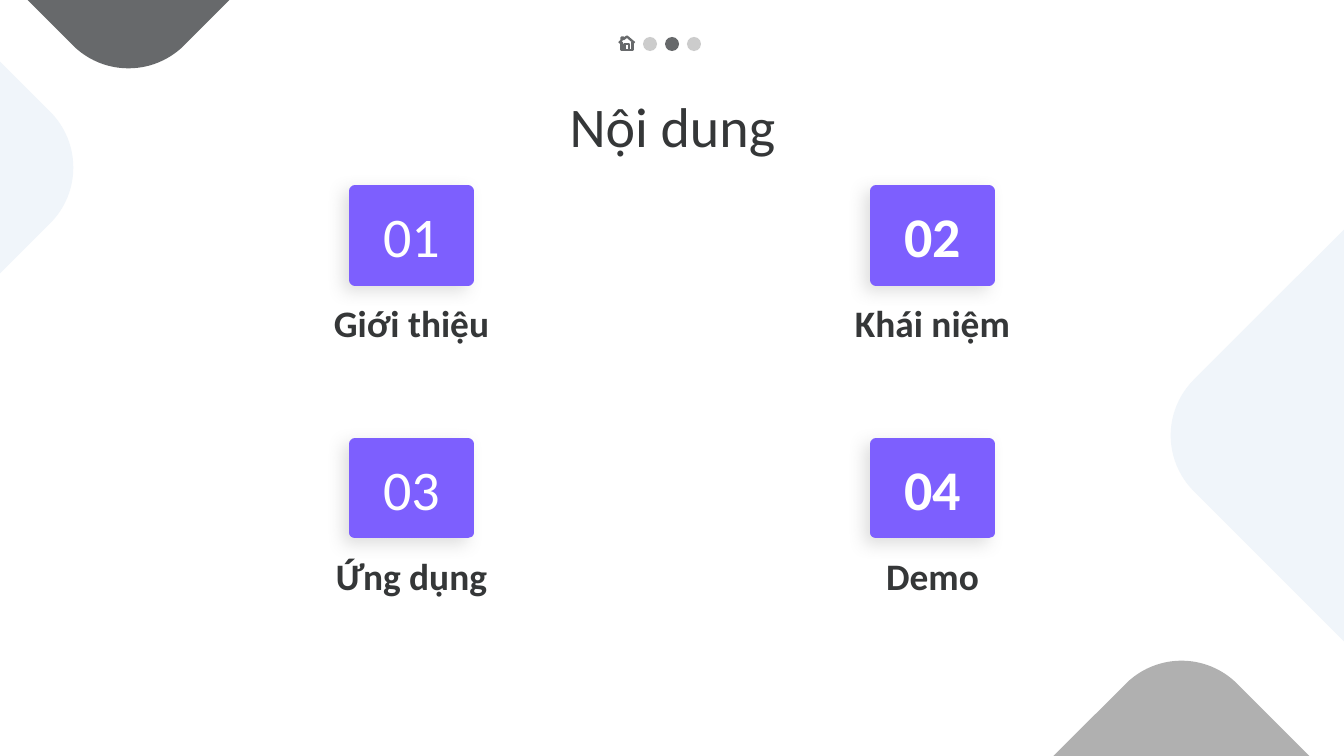
from lxml.etree import SubElement
from pptx import Presentation
from pptx.dml.color import RGBColor
from pptx.enum.shapes import MSO_SHAPE as Shape
from pptx.enum.text import MSO_ANCHOR as Anchor, PP_ALIGN as Align
from pptx.oxml.ns import qn
from pptx.util import Emu, Pt

PX = 914400 / 134.4
FONT = "Calibri"
COLORS = {
    "dark": "67696B",
    "gray": "B0B0B0",
    "pale": "F0F5FA",
    "purple": "7D5FFE",
    "text": "353738",
    "white": "FFFFFF",
}


def px(*lengths):
    return [Emu(round(length * PX)) for length in lengths]


def color(name):
    return RGBColor.from_string(COLORS[name])


def add_alpha(color_element, percent):
    SubElement(color_element, qn("a:alpha"), val=str(percent * 1000))


def add_shape(slide, kind, box, fill):
    shape = slide.shapes.add_shape(kind, *px(*box))
    shape.shadow.inherit = False
    shape.fill.solid()
    shape.fill.fore_color.rgb = color(fill)
    shape.line.fill.background()
    return shape


def write_text(shape, text, size, color_name, anchor, bold=False):
    frame = shape.text_frame
    frame.word_wrap = True
    frame.vertical_anchor = anchor
    frame.margin_left, frame.margin_top, frame.margin_right, frame.margin_bottom = px(*[13] * 4)
    paragraph = frame.paragraphs[0]
    paragraph.alignment = Align.CENTER
    run = paragraph.add_run()
    run.text = text
    font = run.font
    font.name, font.size, font.bold = FONT, Pt(size), bold
    font.color.rgb = color(color_name)


def add_corners(slide, size):
    corners = [(-108, -470, "dark"), (1236, 199, "pale"),
               (-465, -69, "pale"), (945, 726, "gray")]
    for left, top, fill in corners:
        corner = add_shape(slide, Shape.ROUNDED_RECTANGLE, (left, top, size, size), fill)
        corner.rotation = 315


def add_title(slide, box):
    write_text(slide.shapes.add_textbox(*px(*box)), "Nội dung", 30, "text", Anchor.TOP)


def add_badge(slide, box, number, bold):
    badge = add_shape(slide, Shape.RECTANGLE, box, "purple")
    badge.line.color.rgb = color("purple")
    badge.line.width = Pt(6)
    # Rounded outline corners and a soft shadow to the lower left
    SubElement(badge.line._get_or_add_ln(), qn("a:round"))
    effects = badge._element.spPr.find(qn("a:effectLst"))
    shadow = SubElement(effects, qn("a:outerShdw"), blurRad=str(Pt(9)), dist=str(Pt(4.5)),
                        dir=str(140 * 60000), algn="bl", rotWithShape="0")
    add_alpha(SubElement(shadow, qn("a:srgbClr"), val=COLORS["gray"]), 40)
    write_text(badge, number, 30, "white", Anchor.MIDDLE, bold)


def add_section(slide, box, number, name, bold):
    left, top, width, height = box
    badge_width, badge_height, label_height = 113, 89, 73
    add_badge(slide, (left + (width - badge_width) // 2, top, badge_width, badge_height),
              number, bold)
    label_box = (left, top + height - label_height, width, label_height)
    write_text(slide.shapes.add_textbox(*px(*label_box)), name, 20, "text", Anchor.BOTTOM, True)


def add_contents(slide, left, top):
    names = ["Giới thiệu", "Khái niệm", "Ứng dụng", "Demo"]
    for index, name in enumerate(names):
        row, column = divmod(index, 2)
        box = (left + column * 521, top + row * 253, 457, 167)
        add_section(slide, box, f"{index + 1:02}", name, bold=column == 1)


def add_home_icon(slide, left, top):
    # Strokes in tenths of a px: roof with chimney, walls, door
    strokes = [
        [(0, 70), (25, 45), (25, 15), (45, 15), (45, 32), (80, 5), (155, 70)],
        [(25, 60), (25, 138), (135, 138), (135, 60)],
        [(57, 138), (57, 80), (103, 80), (103, 138)],
    ]
    builder = slide.shapes.build_freeform(*strokes[0][0], scale=PX / 10)
    for index, (start, *points) in enumerate(strokes):
        if index:
            builder.move_to(*start)
        builder.add_line_segments(points, close=False)
    icon = builder.convert_to_shape(*px(left, top))
    icon.shadow.inherit = False
    icon.fill.background()
    icon.line.color.rgb = color("dark")
    icon.line.width = Pt(1.25)


def add_navigation(slide, left, top):
    add_home_icon(slide, left, top - 1)
    for index, fill in enumerate(["gray", "dark", "gray"]):
        dot = add_shape(slide, Shape.OVAL, (left + 24 + index * 22, top, 14, 14), fill)
        if fill == "gray":
            add_alpha(dot._element.spPr.find(f".//{qn('a:srgbClr')}"), 64)


def main():
    presentation = Presentation()
    presentation.slide_width, presentation.slide_height = px(1344, 756)
    slide = presentation.slides.add_slide(presentation.slide_layouts[6])
    add_corners(slide, 473)
    add_title(slide, (106, 79, 1133, 93))
    add_contents(slide, 183, 191)
    add_navigation(slide, 619, 37)
    presentation.save("out.pptx")


if __name__ == "__main__":
    main()
